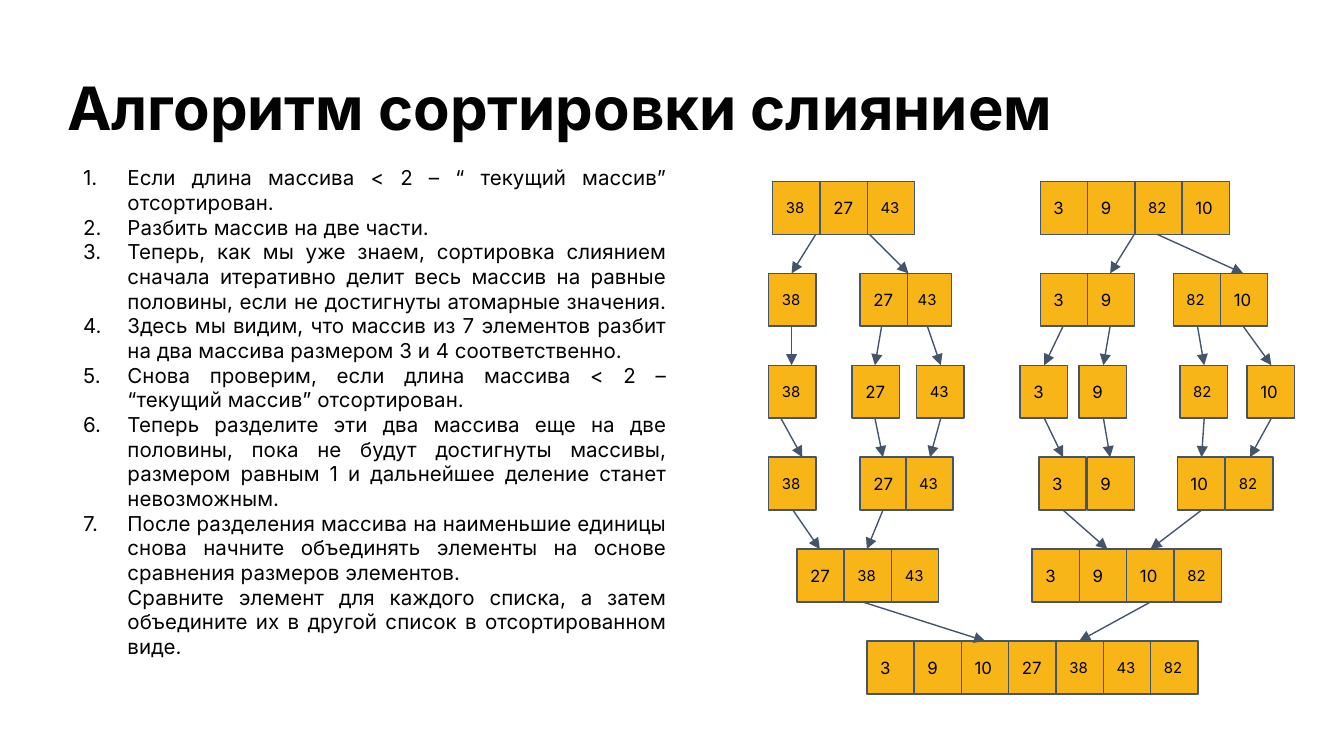
from lxml import etree
from pptx import Presentation
from pptx.dml.color import RGBColor
from pptx.enum.shapes import MSO_CONNECTOR, MSO_SHAPE
from pptx.enum.text import MSO_ANCHOR, MSO_AUTO_SIZE, PP_ALIGN
from pptx.oxml.ns import qn
from pptx.util import Inches, Pt

RECT, STRAIGHT = MSO_SHAPE.RECTANGLE, MSO_CONNECTOR.STRAIGHT
MIDDLE, GROW = MSO_ANCHOR.MIDDLE, MSO_AUTO_SIZE.SHAPE_TO_FIT_TEXT
LEFT, JUSTIFY = PP_ALIGN.LEFT, PP_ALIGN.JUSTIFY

# Percent of the slide's width or height
CELL_W, CELL_H = 3.52, 7
FIRST_TOP, LEVEL_STEP = 24, 12.16

TITLE = "Алгоритм сортировки слиянием"
STEPS = [
    "Если длина массива < 2 – “ текущий массив” отсортирован.",
    "Разбить массив на две части.",
    "Теперь, как мы уже знаем, сортировка слиянием сначала итеративно делит "
    "весь массив на равные половины, если не достигнуты атомарные значения. ",
    "Здесь мы видим, что массив из 7 элементов разбит на два массива "
    "размером 3 и 4 соответственно.",
    "Снова проверим, если длина массива < 2 – “текущий массив” отсортирован.",
    "Теперь разделите эти два массива еще на две половины, пока не будут "
    "достигнуты массивы, размером равным 1 и дальнейшее деление станет "
    "невозможным.",
    "После разделения массива на наименьшие единицы снова начните объединять "
    "элементы на основе сравнения размеров элементов.",
]
CLOSING = ("Сравните элемент для каждого списка, а затем объедините их в другой "
           "список в отсортированном виде.")

# Each level: arrays as (left, values)
LEVELS = [
    [(57.5, "38 27 43"), (77.4, "3 9 82 10")],
    [(57.2, "38"), (67.3, "43"), (64, "27"), (77.4, "3 9"), (87.3, "82 10")],
    [(57.2, "38"), (63.4, "27"), (68.2, "43"), (75.9, "3"), (80.3, "9"),
     (87.8, "82"), (92.8, "10")],
    [(57.2, "38"), (64, "27"), (67.4, "43"), (77.3, "3"), (80.9, "9"),
     (87.6, "10"), (91.2, "82")],
    [(59.3, "27 38 43"), (76.8, "3 9 10 82")],
    [(64.5, "3 9 10 27 38 43 82")],
]
# Arrows below each level: (from, to)
ARROWS = [
    [(60.7, 58.9), (64.7, 67.6), (84.4, 82.6), (86.1, 92.5)],
    [(58.9, 58.9), (65.6, 65.1), (69, 70), (79.1, 77.7), (82.6, 82.1),
     (89.1, 89.6), (92.5, 94.6)],
    [(58.1, 59.7), (65.1, 65.7), (70, 69.2), (77.7, 79.1), (82.1, 82.6),
     (89.6, 89.4), (94.6, 93)],
    [(59, 61), (65.7, 64.5), (79.1, 82.4), (89.4, 85.6)],
    [(64.2, 73.3), (85.6, 80.3)],
]


def rgb(value):
    """Turn a hex string into a colour."""
    return RGBColor.from_string(value)


class Deck:
    """Holds the style and the current slide."""

    font, ink, black = "Inter", "030303", "000000"
    gold, slate = "F7B518", "44546A"

    def __init__(self):
        """Start a presentation with one blank slide."""
        self.prs = Presentation()
        self.prs.slide_width, self.prs.slide_height = Inches(10), Inches(5.625)
        self.s = self.prs.slides.add_slide(self.prs.slide_layouts[6])

    def x(self, share):
        """Give a length in percent of the width."""
        return round(self.prs.slide_width * share / 100)

    def y(self, share):
        """Give a length in percent of the height."""
        return round(self.prs.slide_height * share / 100)

    def box(self, left, top, width, height):
        """Give the four lengths of a box."""
        return self.x(left), self.y(top), self.x(width), self.y(height)

    def inset(self, tf, left, top, right, bottom):
        """Set wrapping and margins in inches."""
        tf.word_wrap = True
        tf.margin_left, tf.margin_right = Inches(left), Inches(right)
        tf.margin_top, tf.margin_bottom = Inches(top), Inches(bottom)

    def put_text(self, p, text, size, color, bold=False, align=LEFT):
        """Put styled text in a paragraph."""
        p.text, p.alignment = text, align
        for r in p.runs:
            r.font.name, r.font.size, r.font.bold = self.font, Pt(size), bold
            r.font.color.rgb = rgb(color)

    def title(self, text, *place):
        """Add the heading."""
        tf = self.s.shapes.add_textbox(*self.box(*place)).text_frame
        self.inset(tf, 0, 0, 0, 0)
        self.put_text(tf.paragraphs[0], text, 32, self.ink, bold=True)

    def numbered(self, steps, closing, *place):
        """Add a numbered list with an unnumbered last paragraph."""
        tf = self.s.shapes.add_textbox(*self.box(*place)).text_frame
        self.inset(tf, 0.1, 0.1, 0.1, 0.1)
        tf.auto_size = GROW
        for i, text in enumerate(steps + [closing]):
            p = tf.add_paragraph() if i else tf.paragraphs[0]
            self.put_text(p, text, 11, self.ink, align=JUSTIFY)
            pPr = p._p.get_or_add_pPr()
            pPr.set("marL", str(Inches(0.5)))
            pPr.set("indent", str(Inches(-0.33) if i < len(steps) else 0))
            if i < len(steps):
                color = etree.SubElement(pPr, qn("a:buClr"))
                etree.SubElement(color, qn("a:srgbClr"), val=self.ink)
                etree.SubElement(pPr, qn("a:buAutoNum"), type="arabicPeriod")

    def array(self, left, top, values):
        """Add a row of touching cells."""
        for i, value in enumerate(values.split()):
            place = self.box(left + i * CELL_W, top, CELL_W, CELL_H)
            sp = self.s.shapes.add_shape(RECT, *place)
            sp.shadow.inherit = False
            sp.fill.solid()
            sp.fill.fore_color.rgb = rgb(self.gold)
            sp.line.color.rgb, sp.line.width = rgb(self.slate), Pt(0.75)
            tf = sp.text_frame
            self.inset(tf, 0.1, 0.1, 0.05, 0.1)
            tf.vertical_anchor = MIDDLE
            size = 8 if value in ("38", "43", "82") else 9
            self.put_text(tf.paragraphs[0], value, size, self.black)

    def arrow(self, x1, y1, x2, y2):
        """Add a line with an arrowhead at its end."""
        line = self.s.shapes.add_connector(
            STRAIGHT, self.x(x1), self.y(y1), self.x(x2), self.y(y2))
        line.line.color.rgb, line.line.width = rgb(self.slate), Pt(0.75)
        spPr = line._element.spPr
        etree.SubElement(spPr.find(qn("a:ln")), qn("a:tailEnd"), type="triangle")
        etree.SubElement(spPr, qn("a:effectLst"))


def level_top(level):
    """Give the top of a level of the tree."""
    return FIRST_TOP + level * LEVEL_STEP


def main():
    """Build the slide and save it."""
    deck = Deck()
    deck.title(TITLE, 5, 9.43, 76.2, 10.67)
    deck.numbered(STEPS, CLOSING, 3.5, 20.1, 47.1, 79.3)
    for level, arrays in enumerate(LEVELS):
        for left, values in arrays:
            deck.array(left, level_top(level), values)
    for level, arrows in enumerate(ARROWS):
        for start, end in arrows:
            deck.arrow(start, level_top(level) + CELL_H, end, level_top(level + 1))
    deck.prs.save("out.pptx")


main()
